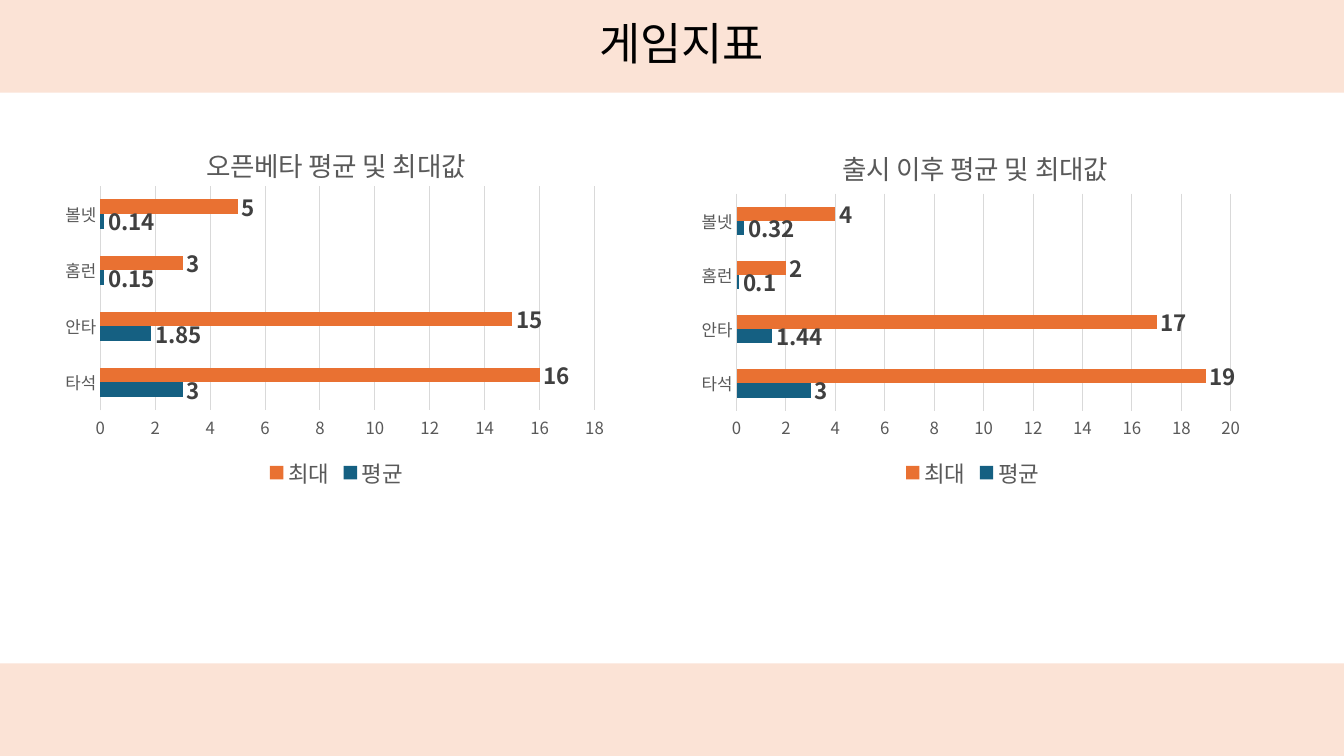
from dataclasses import dataclass

from lxml import etree
from pptx import Presentation
from pptx import util as u
from pptx.chart.data import CategoryChartData
from pptx.dml.color import RGBColor
from pptx.enum import chart as ch, shapes, text
from pptx.oxml.ns import qn

FACE = "Noto Sans CJK KR"
PEACH = RGBColor(0xFB, 0xE3, 0xD6)
BLACK = RGBColor(0x00, 0x00, 0x00)
DARK = RGBColor(0x40, 0x40, 0x40)
GRAY = RGBColor(0x59, 0x59, 0x59)
PALE = RGBColor(0xD9, 0xD9, 0xD9)
BLUE = RGBColor(0x15, 0x60, 0x82)
ORANGE = RGBColor(0xE9, 0x71, 0x32)

CATS = ("타석", "안타", "홈런", "볼넷")
WIDE, TALL, BAND = 13.33, 7.5, 0.92


@dataclass
class Panel:
    left: float
    title: str
    mean: tuple
    peak: tuple
    top: float    # plot and title places are fractions of the chart
    high: float
    head: float
    limit: int


PANELS = (
    Panel(0.55, "오픈베타 평균 및 최대값", (3, 1.85, 0.15, 0.14),
          (16, 15, 3, 5), 0.18, 0.6, 0.05, 18),
    Panel(6.86, "출시 이후 평균 및 최대값", (3, 1.44, 0.1, 0.32),
          (19, 17, 2, 4), 0.2, 0.58, 0.06, 20),
)


def style(font, size: float, color: RGBColor, bold: bool = False) -> None:
    form = {"name": FACE, "size": u.Pt(size), "bold": bold}
    for key, val in form.items():
        setattr(font, key, val)
    font.color.rgb = color


def set_asian(root) -> None:
    """Use the same face for Hangul as for Latin letters."""
    for latin in list(root.iter(qn("a:latin"))):
        east = etree.Element(qn("a:ea"))
        east.set("typeface", FACE)
        latin.addnext(east)


def place(root, index: int, inner: bool, **spots: float) -> None:
    """Give a chart part a manual layout."""
    for old in root.findall(qn("c:layout")):
        root.remove(old)
    lay = etree.Element(qn("c:layout"))
    hand = etree.SubElement(lay, qn("c:manualLayout"))
    vals = {"layoutTarget": "inner"} if inner else {}
    vals.update(xMode="edge", yMode="edge", **spots)
    for key, val in vals.items():
        etree.SubElement(hand, qn(f"c:{key}")).set("val", str(val))
    root.insert(index, lay)


def add_band(slide, top: float) -> None:
    band = slide.shapes.add_shape(
        shapes.MSO_SHAPE.RECTANGLE, 0, u.Inches(top),
        u.Inches(WIDE), u.Inches(BAND))
    band.shadow.inherit = False
    band.fill.solid()
    band.fill.fore_color.rgb = PEACH
    band.line.fill.background()


def add_panel(slide, panel: Panel) -> None:
    data = CategoryChartData()
    data.categories = CATS
    data.add_series("평균", panel.mean)
    data.add_series("최대", panel.peak)
    chart = slide.shapes.add_chart(
        ch.XL_CHART_TYPE.BAR_CLUSTERED, u.Inches(panel.left), u.Inches(1.18),
        u.Inches(5.57), u.Inches(3.71), data).chart
    style(chart.font, 10, BLACK)

    # Heading and legend
    frame = chart.chart_title.text_frame
    frame.text = panel.title
    style(frame.paragraphs[0].runs[0].font, 19, GRAY)
    chart.chart_title.include_in_layout = False
    chart.has_legend = True
    chart.legend.position = ch.XL_LEGEND_POSITION.BOTTOM
    chart.legend.include_in_layout = False
    style(chart.legend.font, 16, GRAY)

    # Axes
    cat, val = chart.category_axis, chart.value_axis
    for axis in (cat, val):
        axis.major_tick_mark = axis.minor_tick_mark = ch.XL_TICK_MARK.NONE
        style(axis.tick_labels.font, 12, GRAY)
    cat.has_major_gridlines = False
    val.has_major_gridlines = True
    for line in (cat.format.line, val.major_gridlines.format.line):
        line.color.rgb = PALE
        line.width = u.Pt(0.75)
    val.format.line.fill.background()
    scale = {"minimum_scale": 0, "maximum_scale": panel.limit, "major_unit": 2}
    for key, num in scale.items():
        setattr(val, key, num)

    # Bars and their values
    plot = chart.plots[0]
    plot.gap_width, plot.overlap, plot.vary_by_categories = 182, 0, False
    for bars, color in zip(plot.series, (BLUE, ORANGE)):
        bars.format.fill.solid()
        bars.format.fill.fore_color.rgb = color
        tags = bars.data_labels
        tags.show_value = True
        tags.position = ch.XL_LABEL_POSITION.OUTSIDE_END
        style(tags.font, 16, DARK, True)

    root = chart.element
    place(next(root.iter(qn("c:plotArea"))), 0, True,
          x=0.08, y=panel.top, w=0.88, h=panel.high)
    place(next(root.iter(qn("c:title"))), 1, False, x=0.26, y=panel.head)
    set_asian(root)


def add_title(slide) -> None:
    title = slide.shapes.title
    spot = {"left": 1.01, "top": -0.27, "width": 11.5, "height": 1.45}
    for key, val in spot.items():
        setattr(title, key, u.Inches(val))
    frame = title.text_frame
    frame.text = "게임지표"
    frame.vertical_anchor = text.MSO_ANCHOR.MIDDLE
    para = frame.paragraphs[0]
    para.alignment = text.PP_ALIGN.CENTER
    para.line_spacing = 0.9
    style(para.runs[0].font, 32, BLACK)
    set_asian(title.element)
    # Bring the title in front of the bands
    title.element.getparent().append(title.element)


def main() -> None:
    deck = Presentation()
    deck.slide_width, deck.slide_height = u.Inches(WIDE), u.Inches(TALL)
    slide = deck.slides.add_slide(deck.slide_layouts[5])
    for top in (0, TALL - BAND):
        add_band(slide, top)
    add_title(slide)
    for panel in PANELS:
        add_panel(slide, panel)
    deck.save("out.pptx")


if __name__ == "__main__":
    main()
